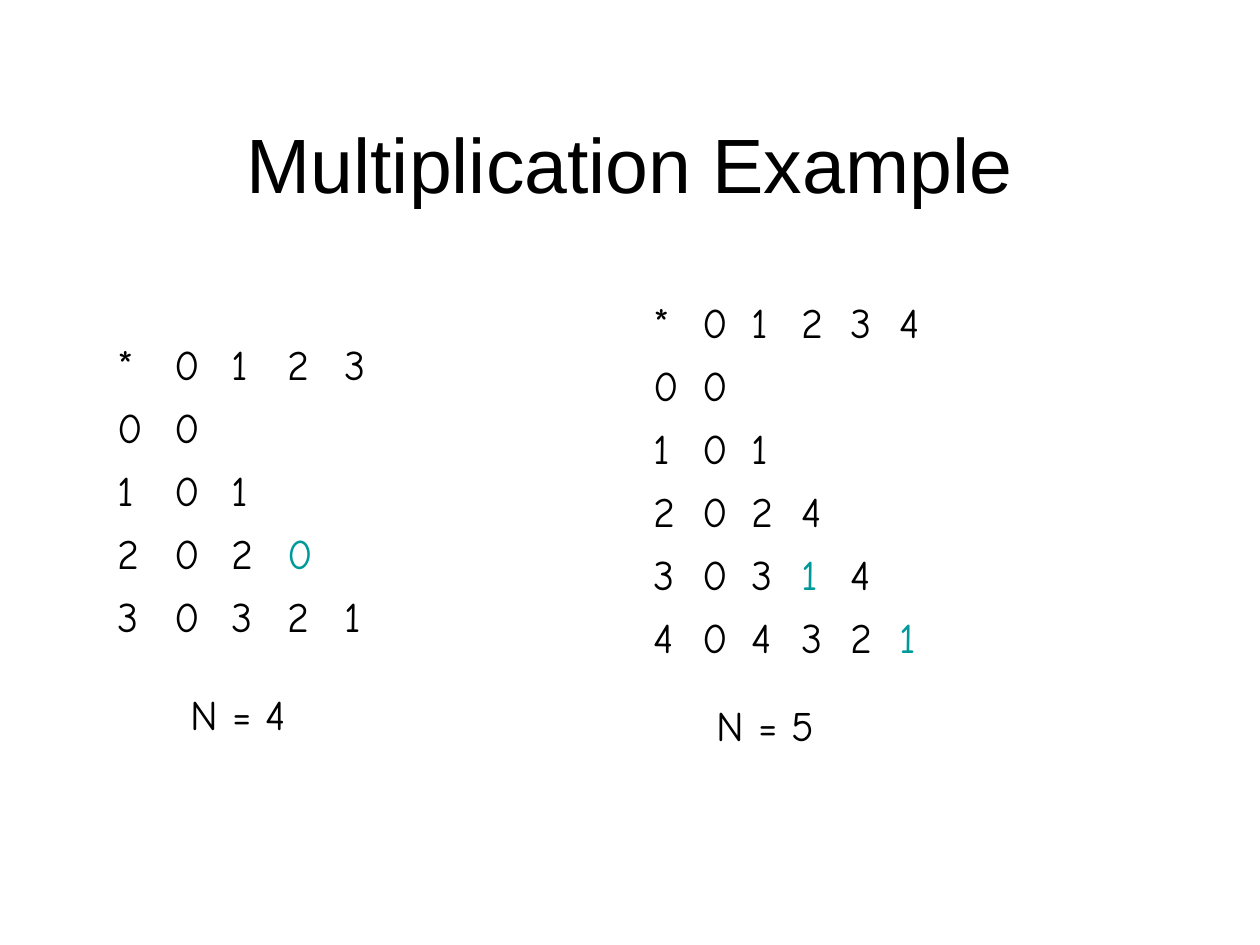
"""Build a slide with two modular multiplication tables."""
from dataclasses import dataclass

from pptx import Presentation
from pptx.dml.color import RGBColor
from pptx.enum.text import MSO_ANCHOR as Anchor, MSO_AUTO_SIZE as AutoSize, PP_ALIGN as Align
from pptx.util import Pt


@dataclass(frozen=True)
class Theme:
    """Colours, fonts and type sizes of the slide."""
    ink: RGBColor = RGBColor(0x00, 0x00, 0x00)
    accent: RGBColor = RGBColor(0x00, 0x99, 0x99)
    title_font: str = "Arial"
    body_font: str = "Comic Neue"
    title_size: float = 44
    body_size: float = 24


@dataclass(frozen=True)
class ProductTable:
    """A multiplication table modulo n, with its place in points."""
    modulus: int
    left: float
    top: float
    column_widths: tuple[float, ...]
    highlights: frozenset[tuple[int, int]]
    caption_left: float
    caption_top: float


THEME = Theme()
ROW_HEIGHT = 36
TABLES = (
    ProductTable(4, 60, 192, (32.4,) * 5, frozenset({(2, 2)}), 102, 390),
    ProductTable(5, 366, 168, (28.2,) * 5 + (57,), frozenset({(3, 2), (4, 4)}), 402.5, 396),
)


def write(frame, text: str, *, font: str = THEME.body_font, size: float = THEME.body_size,
          color: RGBColor = THEME.ink, align: Align = Align.LEFT) -> None:
    """Put one formatted line of text into a text frame."""
    para = frame.paragraphs[0]
    para.alignment = align
    span = para.add_run()
    span.text = text
    span.font.name = font
    span.font.size = Pt(size)
    span.font.color.rgb = color


def draw_title(page, text: str) -> None:
    """Place and format the title placeholder."""
    box = page.shapes.title
    box.left, box.top, box.width, box.height = Pt(54), Pt(48), Pt(612), Pt(90)
    box.text_frame.vertical_anchor = Anchor.MIDDLE
    write(box.text_frame, text, font=THEME.title_font, size=THEME.title_size, align=Align.CENTER)


def cell_text(row: int, column: int, modulus: int) -> str:
    """Return a heading, or a product on or below the diagonal."""
    if row == 0 and column == 0:
        return "*"
    if row == 0 or column == 0:
        return str(max(row, column) - 1)
    return str((row - 1) * (column - 1) % modulus) if column <= row else ""


def draw_table(page, product: ProductTable) -> None:
    """Draw the products as a plain table."""
    count = product.modulus + 1
    table = page.shapes.add_table(
        count, count, Pt(product.left), Pt(product.top),
        Pt(sum(product.column_widths)), Pt(count * ROW_HEIGHT)).table
    table.first_row = table.horz_banding = False
    for column, width in zip(table.columns, product.column_widths):
        column.width = Pt(width)
    for row in range(count):
        for column in range(count):
            cell = table.cell(row, column)
            cell.fill.background()
            text = cell_text(row, column, product.modulus)
            if text:
                marked = (row - 1, column - 1) in product.highlights
                write(cell.text_frame, text, color=THEME.accent if marked else THEME.ink)


def draw_caption(page, product: ProductTable) -> None:
    """Name the modulus below its table."""
    box = page.shapes.add_textbox(
        Pt(product.caption_left), Pt(product.caption_top), Pt(86.4), Pt(36))
    box.text_frame.word_wrap = False
    box.text_frame.auto_size = AutoSize.SHAPE_TO_FIT_TEXT
    write(box.text_frame, f"N = {product.modulus}")


def main() -> None:
    """Build and save the deck."""
    deck = Presentation()
    deck.slide_width, deck.slide_height = Pt(720), Pt(540)
    page = deck.slides.add_slide(deck.slide_layouts[5])
    draw_title(page, "Multiplication Example")
    for product in TABLES:
        draw_table(page, product)
        draw_caption(page, product)
    deck.save("out.pptx")


if __name__ == "__main__":
    main()
